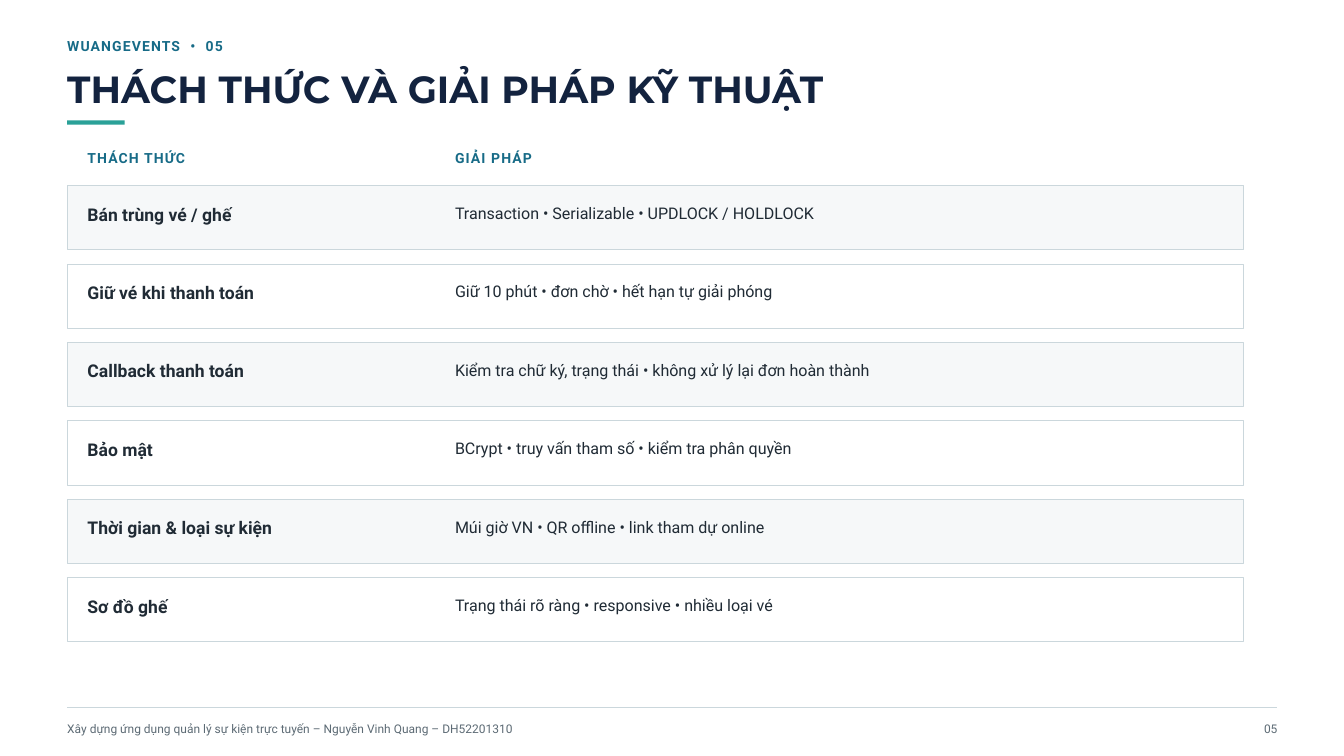
from dataclasses import dataclass

from lxml.etree import SubElement
from pptx import Presentation
from pptx.dml.color import RGBColor
from pptx.enum.shapes import MSO_CONNECTOR, MSO_SHAPE
from pptx.enum.text import MSO_AUTO_SIZE, PP_ALIGN
from pptx.oxml.ns import qn
from pptx.slide import Slide
from pptx.util import Pt

EMU_PER_PX = 9525
COLORS = {
    "navy": "13233F",
    "teal": "176B87",
    "accent": "2AA198",
    "ink": "202B35",
    "muted": "5D6B75",
    "border": "CBD7DC",
    "band": "F6F8F9",
    "white": "FFFFFF",
}


@dataclass(frozen=True)
class TextStyle:
    size: float
    leading: float
    color: str
    bold: bool = False
    font: str = "Roboto"
    tracking: float = 0


@dataclass(frozen=True)
class Box:
    left: int
    top: int
    width: int
    height: int

    def emu(self) -> tuple[int, int, int, int]:
        return px(self.left), px(self.top), px(self.width), px(self.height)


@dataclass(frozen=True)
class Issue:
    challenge: str
    solution: str


LABEL = TextStyle(15, 21, "teal", bold=True, tracking=1.2)
TITLE = TextStyle(40.5, 45.4, "navy", bold=True, font="Montserrat")
CHALLENGE = TextStyle(18.8, 25.3, "ink", bold=True)
SOLUTION = TextStyle(17.2, 23.3, "ink")
FOOTER = TextStyle(12.8, 16.6, "muted")

ISSUES = [
    Issue("Bán trùng vé / ghế", "Transaction • Serializable • UPDLOCK / HOLDLOCK"),
    Issue("Giữ vé khi thanh toán", "Giữ 10 phút • đơn chờ • hết hạn tự giải phóng"),
    Issue("Callback thanh toán",
          "Kiểm tra chữ ký, trạng thái • không xử lý lại đơn hoàn thành"),
    Issue("Bảo mật", "BCrypt • truy vấn tham số • kiểm tra phân quyền"),
    Issue("Thời gian & loại sự kiện", "Múi giờ VN • QR offline • link tham dự online"),
    Issue("Sơ đồ ghế", "Trạng thái rõ ràng • responsive • nhiều loại vé"),
]

MARGIN = 96
CHALLENGE_LEFT = 125
SOLUTION_LEFT = 650
ROWS_TOP = 265
ROW_PITCH = 112
ROW_HEIGHT = 92
ROW_TEXT_OFFSET = 22
FOOTER_LINE_TOP = 1010
FOOTER_TEXT_TOP = 1029


def px(length: int) -> int:
    return length * EMU_PER_PX


def rgb(name: str) -> RGBColor:
    return RGBColor.from_string(COLORS[name])


def add_text(slide: Slide, text: str, box: Box, style: TextStyle,
             align: PP_ALIGN = PP_ALIGN.LEFT) -> None:
    frame = slide.shapes.add_textbox(*box.emu()).text_frame
    frame.margin_left = frame.margin_top = frame.margin_right = frame.margin_bottom = 0
    frame.word_wrap = True
    frame.auto_size = MSO_AUTO_SIZE.SHAPE_TO_FIT_TEXT
    paragraph = frame.paragraphs[0]
    paragraph.alignment = align
    paragraph.line_spacing = Pt(style.leading)
    run = paragraph.add_run()
    run.text = text
    run.font.name = style.font
    run.font.size = Pt(style.size)
    run.font.bold = style.bold
    run.font.color.rgb = rgb(style.color)
    if style.tracking:
        run._r.get_or_add_rPr().set("spc", str(round(style.tracking * 100)))


def add_panel(slide: Slide, box: Box, fill: str, border: str | None = None) -> None:
    panel = slide.shapes.add_shape(MSO_SHAPE.RECTANGLE, *box.emu())
    panel.shadow.inherit = False
    panel.fill.solid()
    panel.fill.fore_color.rgb = rgb(fill)
    if border:
        panel.line.color.rgb = rgb(border)
        panel.line.width = Pt(0.75)
    else:
        panel.line.fill.background()


def add_rule(slide: Slide, left: int, right: int, top: int) -> None:
    rule = slide.shapes.add_connector(
        MSO_CONNECTOR.STRAIGHT, px(left), px(top), px(right), px(top))
    rule.line.color.rgb = rgb("border")
    rule.line.width = Pt(0.75)
    SubElement(rule._element.spPr, qn("a:effectLst"))


def add_header(slide: Slide) -> None:
    add_text(slide, "WUANGEVENTS  •  05", Box(MARGIN, 50, 900, 28), LABEL)
    add_text(slide, "THÁCH THỨC VÀ GIẢI PHÁP KỸ THUẬT", Box(MARGIN, 98, 1500, 60), TITLE)
    add_panel(slide, Box(MARGIN, 172, 82, 6), "accent")


def add_issues(slide: Slide) -> None:
    add_text(slide, "THÁCH THỨC", Box(CHALLENGE_LEFT, 210, 480, 28), LABEL)
    add_text(slide, "GIẢI PHÁP", Box(SOLUTION_LEFT, 210, 800, 28), LABEL)
    for index, issue in enumerate(ISSUES):
        top = ROWS_TOP + index * ROW_PITCH
        text_top = top + ROW_TEXT_OFFSET
        fill = "white" if index % 2 else "band"
        add_panel(slide, Box(MARGIN, top, 1680, ROW_HEIGHT), fill, "border")
        add_text(slide, issue.challenge, Box(CHALLENGE_LEFT, text_top, 480, 33), CHALLENGE)
        add_text(slide, issue.solution, Box(SOLUTION_LEFT, text_top, 1110, 31), SOLUTION)


def add_footer(slide: Slide) -> None:
    add_rule(slide, MARGIN, 1824, FOOTER_LINE_TOP)
    add_text(slide,
             "Xây dựng ứng dụng quản lý sự kiện trực tuyến – Nguyễn Vinh Quang – DH52201310",
             Box(MARGIN, FOOTER_TEXT_TOP, 1450, 21), FOOTER)
    add_text(slide, "05", Box(1755, FOOTER_TEXT_TOP, 70, 21), FOOTER, PP_ALIGN.RIGHT)


def main() -> None:
    deck = Presentation()
    deck.slide_width = px(1920)
    deck.slide_height = px(1080)
    slide = deck.slides.add_slide(deck.slide_layouts[6])
    add_header(slide)
    add_issues(slide)
    add_footer(slide)
    deck.save("out.pptx")


if __name__ == "__main__":
    main()
